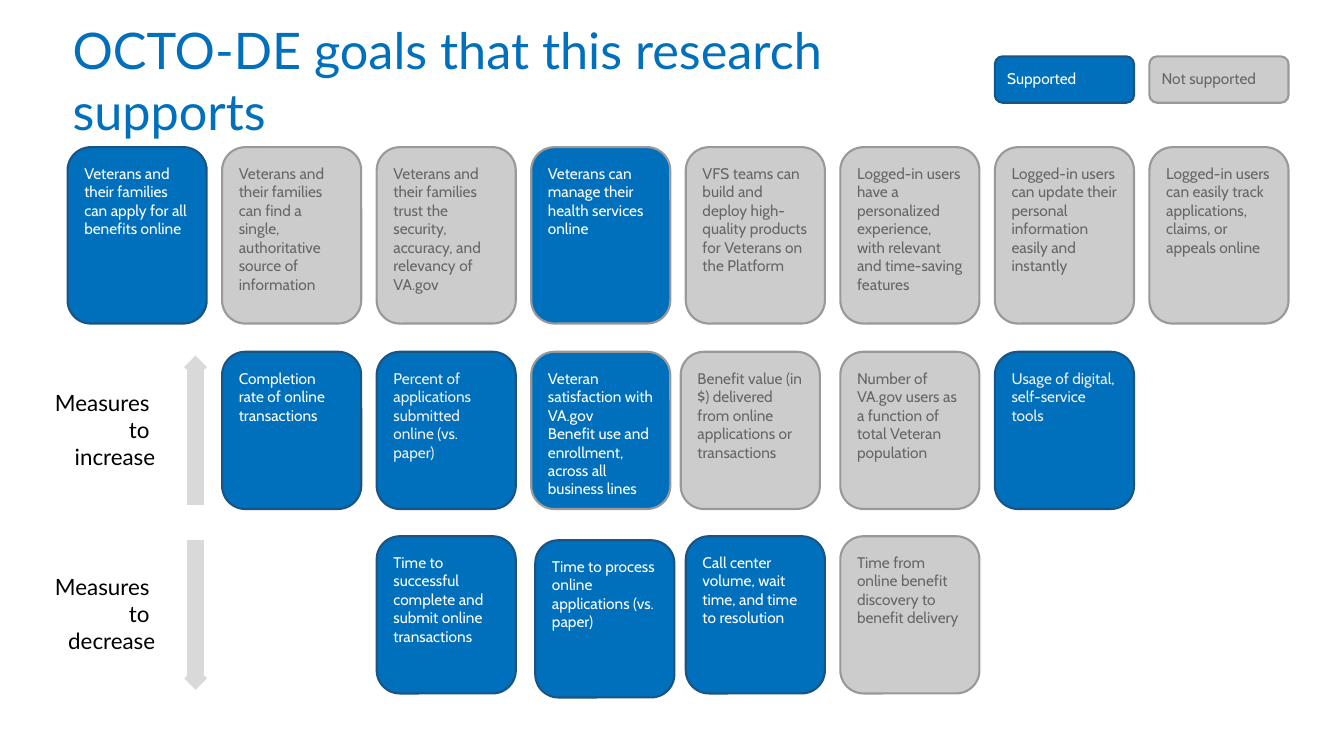
from lxml.etree import SubElement
from pptx import Presentation
from pptx.dml.color import RGBColor
from pptx.enum.shapes import MSO_CONNECTOR, MSO_SHAPE
from pptx.enum.text import MSO_ANCHOR, PP_ALIGN
from pptx.oxml.ns import qn
from pptx.util import Pt

BLUE = RGBColor(0x00, 0x70, 0xBC)
NAVY = RGBColor(0x1A, 0x54, 0x84)
SILVER = RGBColor(0xCC, 0xCC, 0xCC)
GRAY = RGBColor(0x99, 0x99, 0x99)
DARK_GRAY = RGBColor(0x66, 0x66, 0x66)
ARROW_GRAY = RGBColor(0xD9, 0xD9, 0xD9)
OFF_WHITE = RGBColor(0xF2, 0xF2, 0xF2)
WHITE = RGBColor(0xFF, 0xFF, 0xFF)
BLACK = RGBColor(0x00, 0x00, 0x00)

TITLE = "OCTO-DE goals that this research supports"

STYLES = {
    "supported": (BLUE, NAVY, WHITE),
    "supported, soft text": (BLUE, NAVY, OFF_WHITE),
    "supported, gray edge": (BLUE, GRAY, WHITE),
    "not supported": (SILVER, GRAY, DARK_GRAY),
}

LEGEND = [
    ("supported", ["Supported"]),
    ("not supported", ["Not supported"]),
]
GOALS = [
    ("supported", ["Veterans and their families can apply for all benefits online"]),
    ("not supported", ["Veterans and their families can find a single, authoritative source of information"]),
    ("not supported", ["Veterans and their families trust the security, accuracy, and relevancy of VA.gov"]),
    ("supported, gray edge", ["Veterans can manage their health services online"]),
    ("not supported", ["VFS teams can build and deploy high-quality products for Veterans on the Platform"]),
    ("not supported", ["Logged-in users have a personalized experience, with relevant and time-saving features"]),
    ("not supported", ["Logged-in users can update their personal information easily and instantly"]),
    ("not supported", ["Logged-in users can easily track applications, claims, or appeals online"]),
]
INCREASE = [
    ("supported", ["Completion rate of online transactions"]),
    ("supported, soft text", ["Percent of applications submitted online (vs. paper)"]),
    ("supported, gray edge", ["Veteran satisfaction with VA.gov",
                              "Benefit use and enrollment, across all business lines"]),
    ("not supported", ["Benefit value (in $) delivered from online applications or transactions"]),
    ("not supported", ["Number of VA.gov users as a function of total Veteran population"]),
    ("supported, soft text", ["Usage of digital, self-service tools"]),
]
DECREASE = [
    ("supported", ["Time to successful complete and submit online transactions"]),
    ("supported", ["Time to process online applications (vs. paper)"]),
    ("supported", ["Call center volume, wait time, and time to resolution"]),
    ("not supported", ["Time from online benefit discovery to benefit delivery"]),
]

# top, height, first column, cards, offsets by card index
ROWS = [
    (56, 46, 6, LEGEND, {}),
    (146, 175, 0, GOALS, {}),
    (349, 156, 1, INCREASE, {3: (-5, 0)}),
    (532, 156, 2, DECREASE, {1: (4, 4)}),
]
# label top, label lines, arrow tail, arrow tip, turn of the tip
MEASURES = [
    (373, ["Measures ", "to ", "increase"], 501, 364, 315),
    (556, ["Measures ", "to ", "decrease"], 536, 673, 135),
]

PX = 9144
LEFT, RIGHT, COLUMNS, CARD_WIDTH = 67, 1278, 8, 138
PITCH = (RIGHT - LEFT - CARD_WIDTH) / (COLUMNS - 1)
ARROW_X, TIP = 194, 16


def px(*lengths):
    return [round(length * PX) for length in lengths]


def set_frame(shape, inset, anchor=MSO_ANCHOR.TOP):
    frame = shape.text_frame
    frame.word_wrap = True
    frame.vertical_anchor = anchor
    frame.margin_left = frame.margin_right = inset * PX
    frame.margin_top = frame.margin_bottom = inset * PX
    return frame


def add_run(paragraph, text, font_name, size, color):
    run = paragraph.add_run()
    run.text = text
    run.font.name = font_name
    run.font.size = Pt(size)
    run.font.color.rgb = color


def add_card(shapes, left, top, height, style, paragraphs):
    fill, edge, ink = STYLES[style]
    card = shapes.add_shape(MSO_SHAPE.ROUNDED_RECTANGLE, *px(left, top, CARD_WIDTH, height))
    card.shadow.inherit = False
    card.fill.solid()
    card.fill.fore_color.rgb = fill
    card.line.color.rgb = edge
    card.line.width = Pt(1.5)
    frame = set_frame(card, 10)
    for index, text in enumerate(paragraphs):
        paragraph = frame.add_paragraph() if index else frame.paragraphs[0]
        paragraph.alignment = PP_ALIGN.LEFT
        add_run(paragraph, text, "Cabin", 11, ink)


def add_arrow(shapes, tail, tip, turn):
    arrow = shapes.add_group_shape().shapes
    shaft = arrow.add_connector(MSO_CONNECTOR.STRAIGHT, *px(ARROW_X, tail, ARROW_X, tip))
    shaft.line.color.rgb = ARROW_GRAY
    shaft.line.width = Pt(12)
    SubElement(shaft._element.spPr, qn("a:effectLst"))
    head = arrow.add_shape(MSO_SHAPE.RECTANGLE, *px(ARROW_X - TIP / 2, tip - TIP / 2, TIP, TIP))
    head.rotation = turn
    head.shadow.inherit = False
    head.fill.solid()
    head.fill.fore_color.rgb = ARROW_GRAY
    head.line.fill.background()


def add_label(shapes, top, lines):
    label = shapes.add_textbox(*px(16, top, 151, 108))
    paragraph = set_frame(label, 13).paragraphs[0]
    paragraph.alignment = PP_ALIGN.RIGHT
    for index, line in enumerate(lines):
        if index:
            paragraph.add_line_break()
        add_run(paragraph, line, "Lato", 16, BLACK)


def main():
    deck = Presentation()
    deck.slide_width, deck.slide_height = px(1333, 750)
    shapes = deck.slides.add_slide(deck.slide_layouts[6]).shapes

    title = shapes.add_textbox(*px(67, 33, 937, 92))
    add_run(set_frame(title, 5, MSO_ANCHOR.MIDDLE).paragraphs[0], TITLE, "Lato", 36, BLUE)

    for top, height, first_column, cards, offsets in ROWS:
        for index, (style, paragraphs) in enumerate(cards):
            dx, dy = offsets.get(index, (0, 0))
            left = LEFT + (first_column + index) * PITCH + dx
            add_card(shapes, left, top + dy, height, style, paragraphs)

    for label_top, lines, tail, tip, turn in MEASURES:
        add_arrow(shapes, tail, tip, turn)
        add_label(shapes, label_top, lines)

    deck.save("out.pptx")


if __name__ == "__main__":
    main()
